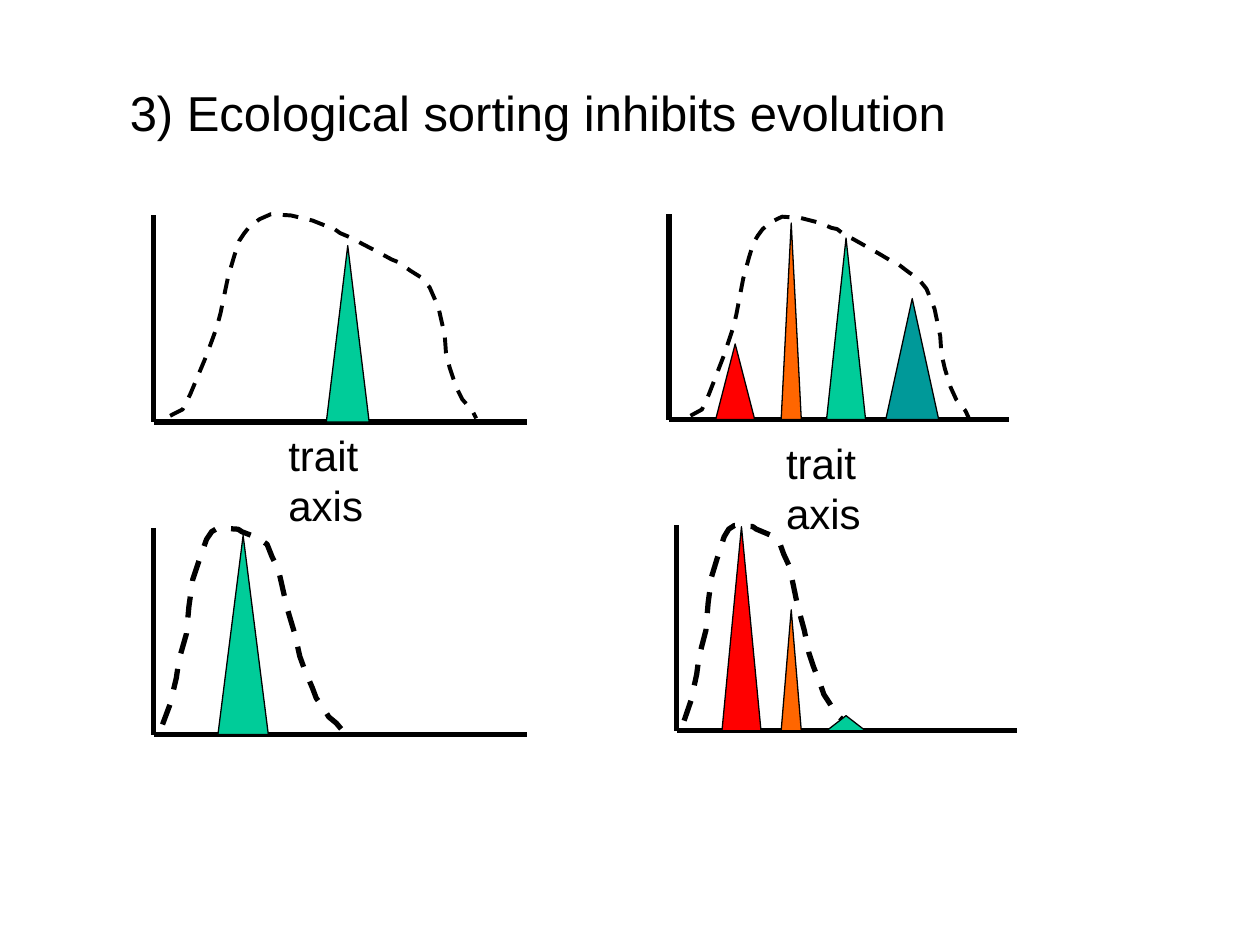
from pptx import Presentation
from pptx.dml.color import RGBColor
from pptx.enum.dml import MSO_LINE
from pptx.enum.shapes import MSO_CONNECTOR, MSO_SHAPE
from pptx.enum.text import MSO_ANCHOR
from pptx.oxml.xmlchemy import OxmlElement
from pptx.util import Inches, Pt

BLACK = RGBColor(0x00, 0x00, 0x00)
GREEN = RGBColor(0x00, 0xCC, 0x99)
RED = RGBColor(0xFF, 0x00, 0x00)
ORANGE = RGBColor(0xFF, 0x66, 0x00)
TEAL = RGBColor(0x00, 0x99, 0x99)

# Outlines in inches, from the left foot of each curve to the right foot
BROAD_CURVE = [
    (0, 1.60), (0.06, 1.57), (0.10, 1.55), (0.16, 1.43), (0.29, 1.12),
    (0.37, 0.90), (0.40, 0.79), (0.46, 0.50), (0.51, 0.33), (0.55, 0.21),
    (0.59, 0.15), (0.63, 0.10), (0.71, 0.04), (0.80, 0), (0.96, 0.01),
    (1.13, 0.05), (1.23, 0.09), (1.28, 0.10), (1.35, 0.15), (1.42, 0.18),
    (1.65, 0.30), (1.76, 0.36), (1.81, 0.38), (1.91, 0.45), (1.99, 0.50),
    (2.06, 0.58), (2.13, 0.74), (2.18, 0.96), (2.19, 1.10), (2.22, 1.22),
    (2.27, 1.37), (2.32, 1.47), (2.40, 1.56), (2.43, 1.62),
]
NARROW_CURVE = [
    (0, 1.56), (0.06, 1.40), (0.11, 1.19), (0.13, 1.05), (0.19, 0.84),
    (0.21, 0.62), (0.24, 0.41), (0.30, 0.23), (0.35, 0.09), (0.39, 0.03),
    (0.44, 0), (0.60, 0.01), (0.63, 0.03), (0.76, 0.08), (0.83, 0.13),
    (0.87, 0.23), (0.92, 0.33), (0.99, 0.64), (1.05, 0.84), (1.09, 1.02),
    (1.13, 1.13), (1.19, 1.27), (1.22, 1.35), (1.27, 1.42), (1.32, 1.50),
    (1.38, 1.55), (1.43, 1.61),
]


def add_text(slide, box, text, size):
    shape = slide.shapes.add_textbox(*map(Inches, box))
    frame = shape.text_frame
    frame.word_wrap = True
    paragraph = frame.paragraphs[0]
    paragraph.text = text
    paragraph.font.name = "Arial"
    paragraph.font.size = Pt(size)
    paragraph.font.color.rgb = BLACK
    return frame


def add_title(slide, box):
    frame = add_text(slide, box, "3) Ecological sorting inhibits evolution", 28)
    frame.margin_left = Inches(0.6)
    frame.vertical_anchor = MSO_ANCHOR.BOTTOM


def add_axis(slide, start, end):
    connector = slide.shapes.add_connector(
        MSO_CONNECTOR.STRAIGHT, *map(Inches, (*start, *end)))
    connector.line.color.rgb = BLACK
    connector.line.width = Pt(3)
    connector._element.spPr.append(OxmlElement("a:effectLst"))


def add_curve(slide, box, outline, weight):
    """Scale an outline to the box and draw it dashed."""
    left, top, width, height = box
    x_scale = width / max(x for x, y in outline)
    y_scale = height / max(y for x, y in outline)
    points = [(Inches(left + x * x_scale), Inches(top + y * y_scale))
              for x, y in outline]
    builder = slide.shapes.build_freeform(*points[0])
    builder.add_line_segments(points[1:], close=False)
    shape = builder.convert_to_shape()
    shape.shadow.inherit = False
    shape.fill.background()
    shape.line.color.rgb = BLACK
    shape.line.width = Pt(weight)
    shape.line.dash_style = MSO_LINE.DASH


def add_peak(slide, box, color):
    shape = slide.shapes.add_shape(
        MSO_SHAPE.FLOWCHART_EXTRACT, *map(Inches, box))
    shape.shadow.inherit = False
    shape.fill.solid()
    shape.fill.fore_color.rgb = color
    shape.line.color.rgb = BLACK
    shape.line.width = Pt(0.75)


def add_panel(slide, box, curve_box, outline, weight, peaks):
    """Draw axes, dashed curve and species peaks standing on the trait axis."""
    left, top, width, height = box
    base = top + height
    add_axis(slide, (left, top), (left, base))
    add_axis(slide, (left, base), (left + width, base))
    add_curve(slide, curve_box, outline, weight)
    for peak_left, peak_width, peak_height, color in peaks:
        add_peak(slide, (peak_left, base - peak_height, peak_width, peak_height),
                 color)


def main():
    presentation = Presentation()
    presentation.slide_width = Inches(10)
    presentation.slide_height = Inches(7.5)
    slide = presentation.slides.add_slide(presentation.slide_layouts[6])

    add_title(slide, (0.43, 0.13, 9.29, 1.04))

    # Left column: one species
    add_panel(slide, (1.22, 1.71, 2.96, 1.64), (1.35, 1.7, 2.43, 1.62),
              BROAD_CURVE, 2.25, [(2.59, 0.34, 1.4, GREEN)])
    add_panel(slide, (1.22, 4.19, 2.96, 1.64), (1.29, 4.19, 1.43, 1.61),
              NARROW_CURVE, 3, [(1.73, 0.4, 1.58, GREEN)])

    # Right column: several species
    add_panel(slide, (5.31, 1.7, 2.7, 1.63), (5.48, 1.72, 2.21, 1.6),
              BROAD_CURVE, 2.25,
              [(5.68, 0.31, 0.6, RED), (6.2, 0.16, 1.56, ORANGE),
               (6.56, 0.31, 1.44, GREEN), (7.03, 0.42, 0.96, TEAL)])
    add_panel(slide, (5.37, 4.17, 2.7, 1.63), (5.43, 4.17, 1.3, 1.6),
              NARROW_CURVE, 3,
              [(5.73, 0.31, 1.62, RED), (6.2, 0.16, 0.96, ORANGE),
               (6.56, 0.31, 0.12, GREEN)])

    # Axis labels
    for label_box in ((2.19, 3.36, 0.99, 0.87), (6.14, 3.42, 0.91, 0.87)):
        add_text(slide, label_box, "trait axis", 24)

    presentation.save("out.pptx")


if __name__ == "__main__":
    main()
